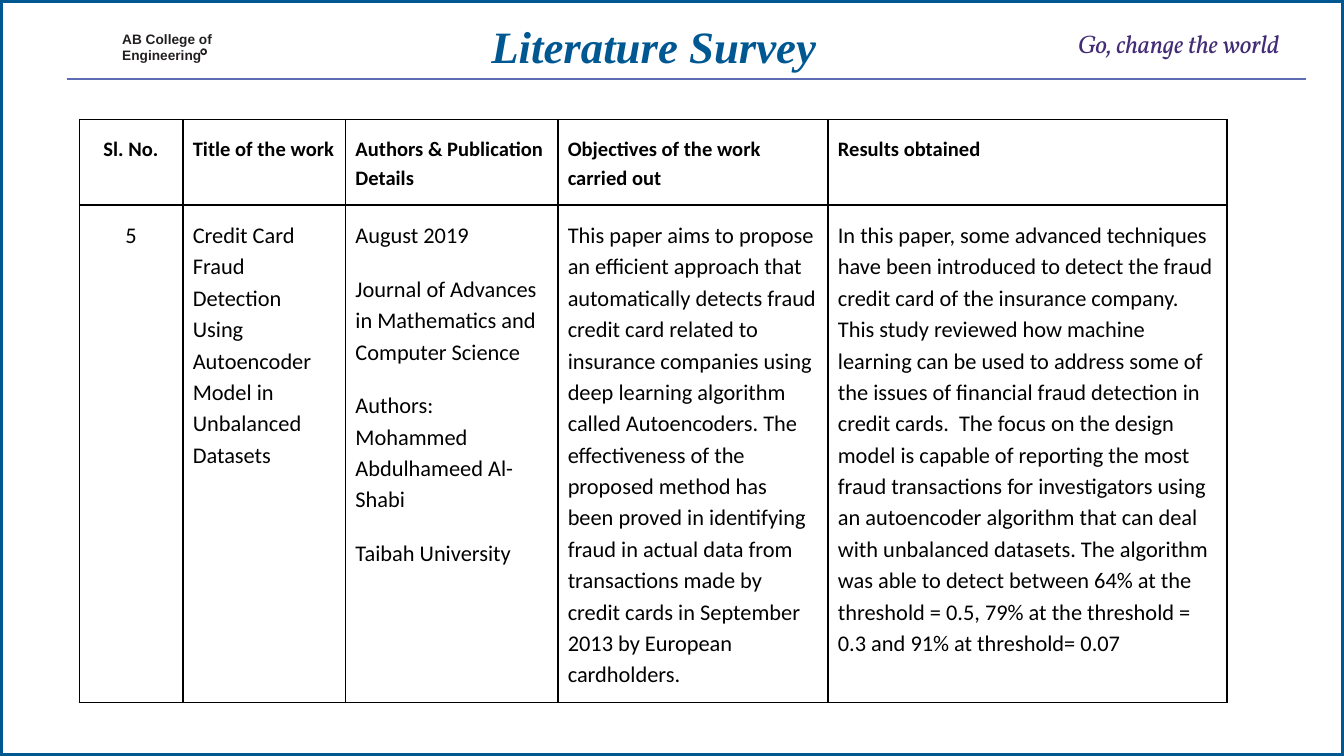
"""Builds a literature survey slide with a bordered summary table."""
from lxml import etree
from pptx import Presentation
from pptx.dml.color import RGBColor
from pptx.enum import shapes, text
from pptx.oxml import ns
from pptx.util import Inches, Pt

BLUE = RGBColor(0x00, 0x58, 0x93)
RULE = RGBColor(0x5E, 0x6D, 0xB3)
INK = RGBColor(0x23, 0x1F, 0x20)
PURPLE = RGBColor(0x42, 0x2C, 0x75)
BLACK = RGBColor(0, 0, 0)
WHITE = RGBColor(0xFF, 0xFF, 0xFF)

COLUMNS = [0.77, 1.21, 1.58, 2.01, 2.97]
ROWS = [0.63, 3.62]
HEADER = ["Sl. No.", "Title of the work", "Authors & Publication Details",
          "Objectives of the work carried out", "Results obtained"]
PAPER = [
    "5",
    "Credit Card Fraud Detection Using Autoencoder Model in Unbalanced Datasets",
    "August 2019\n"
    "Journal of Advances in Mathematics and Computer Science\n"
    "Authors: Mohammed Abdulhameed Al-Shabi\n"
    "Taibah University",
    "This paper aims to propose an efficient approach that automatically detects "
    "fraud credit card related to insurance companies using deep learning algorithm "
    "called Autoencoders. The effectiveness of the proposed method has been proved in "
    "identifying fraud in actual data from transactions made by credit cards in "
    "September 2013 by European cardholders.",
    "In this paper, some advanced techniques have been introduced to detect the fraud "
    "credit card of the insurance company. This study reviewed how machine learning can "
    "be used to address some of the issues of financial fraud detection in credit cards.  "
    "The focus on the design model is capable of reporting the most fraud transactions "
    "for investigators using an autoencoder algorithm that can deal with unbalanced "
    "datasets. The algorithm was able to detect between 64% at the threshold = 0.5, 79% "
    "at the threshold = 0.3 and 91% at threshold= 0.07",
]


def set_font(p, name, size, color, bold=False, italic=False):
    """Set the font of a paragraph."""
    p.font.name, p.font.size = name, Pt(size)
    p.font.bold, p.font.italic = bold, italic
    p.font.color.rgb = color


def fill_frame(tf, words, *font, **style):
    """Put text into a frame without side margins."""
    tf.margin_left = tf.margin_right = tf.margin_top = tf.margin_bottom = 0
    tf.word_wrap = True
    tf.auto_size = text.MSO_AUTO_SIZE.NONE
    tf.vertical_anchor = text.MSO_ANCHOR.TOP
    tf.text = words
    for p in tf.paragraphs:
        set_font(p, *font, **style)


def add_label(s, box, words, *font, **style):
    """Add a text box."""
    sp = s.shapes.add_textbox(*map(Inches, box))
    fill_frame(sp.text_frame, words, *font, **style)
    sp.text_frame.margin_top = Inches(0.01)


def add_title(s):
    """Place and format the title placeholder."""
    title = s.shapes.title
    title.left, title.top, title.width, title.height = map(
        Inches, (1.71, 0.14, 6.31, 0.4))
    fill_frame(title.text_frame, "Literature Survey", "Times New Roman", 24, BLUE,
               bold=True, italic=True)
    title.text_frame.paragraphs[0].alignment = text.PP_ALIGN.CENTER


def add_filled(s, kind, box, color):
    """Add a preset shape with a plain fill and no outline."""
    sp = s.shapes.add_shape(kind, *box)
    sp.shadow.inherit = False
    sp.fill.solid()
    sp.fill.fore_color.rgb = color
    sp.line.fill.background()
    return sp


def add_border(s, prs):
    """Frame the whole slide behind the title."""
    sp = add_filled(s, shapes.MSO_SHAPE.RECTANGLE,
                    (0, 0, prs.slide_width, prs.slide_height), WHITE)
    sp.line.color.rgb = BLUE
    sp.line.width = Pt(3)
    s.shapes.title.element.addprevious(sp.element)


def add_rule(s):
    """Draw the line under the heading."""
    line = s.shapes.add_connector(shapes.MSO_CONNECTOR.STRAIGHT, Inches(0.5),
                                  Inches(0.59), Inches(9.72), Inches(0.59))
    line.line.color.rgb = RULE
    line.line.width = Pt(1.25)
    etree.SubElement(line.element.spPr, ns.qn("a:effectLst"))


def add_cell_borders(cell):
    """Draw black lines on all four sides of a cell."""
    tc_pr = cell._tc.get_or_add_tcPr()
    for i, side in enumerate(("lnL", "lnR", "lnT", "lnB")):
        ln = etree.Element(ns.qn(f"a:{side}"), w=str(Pt(1)))
        fill = etree.SubElement(ln, ns.qn("a:solidFill"))
        etree.SubElement(fill, ns.qn("a:srgbClr"), val=str(BLACK))
        tc_pr.insert(i, ln)


def fill_cell(cell, words, size, bold, centered):
    """Write and format one table cell."""
    cell.text = words
    cell.fill.background()
    cell.margin_left = cell.margin_right = Pt(5.4)
    cell.margin_top = cell.margin_bottom = Inches(0.1)
    cell.vertical_anchor = text.MSO_ANCHOR.TOP
    for p in cell.text_frame.paragraphs:
        p.alignment = text.PP_ALIGN.CENTER if centered else text.PP_ALIGN.LEFT
        p.line_spacing = 1.15
        p.space_before = Pt(12)
        set_font(p, "Calibri", size, BLACK, bold=bold)
    add_cell_borders(cell)


def add_survey_table(s):
    """Add the table of surveyed work."""
    table = s.shapes.add_table(len(ROWS), len(COLUMNS), Inches(0.59), Inches(0.89),
                               Inches(sum(COLUMNS)), Inches(sum(ROWS))).table
    table.first_row = table.horz_banding = False
    for column, width in zip(table.columns, COLUMNS):
        column.width = Inches(width)
    for row, height in zip(table.rows, ROWS):
        row.height = Inches(height)
    for r, (words, size, bold) in enumerate([(HEADER, 11, True), (PAPER, 12, False)]):
        for c, entry in enumerate(words):
            fill_cell(table.cell(r, c), entry, size, bold, centered=c == 0)


def main():
    """Build and save the slide."""
    prs = Presentation()
    prs.slide_width = Inches(10)
    prs.slide_height = prs.slide_width * 9 // 16
    s = prs.slides.add_slide(prs.slide_layouts[5])
    add_title(s)
    add_border(s, prs)
    add_rule(s)
    add_label(s, (0.91, 0.22, 0.8, 0.25), "AB College of\nEngineering",
              "Arial", 7.3, INK, bold=True)
    add_filled(s, shapes.MSO_SHAPE.DONUT, map(Inches, (1.49, 0.36, 0.05, 0.05)), INK)
    add_label(s, (8.02, 0.2, 1.69, 0.24), "Go, change the world",
              "Vollkorn", 13.6, PURPLE, italic=True)
    add_survey_table(s)
    prs.save("out.pptx")


if __name__ == "__main__":
    main()
